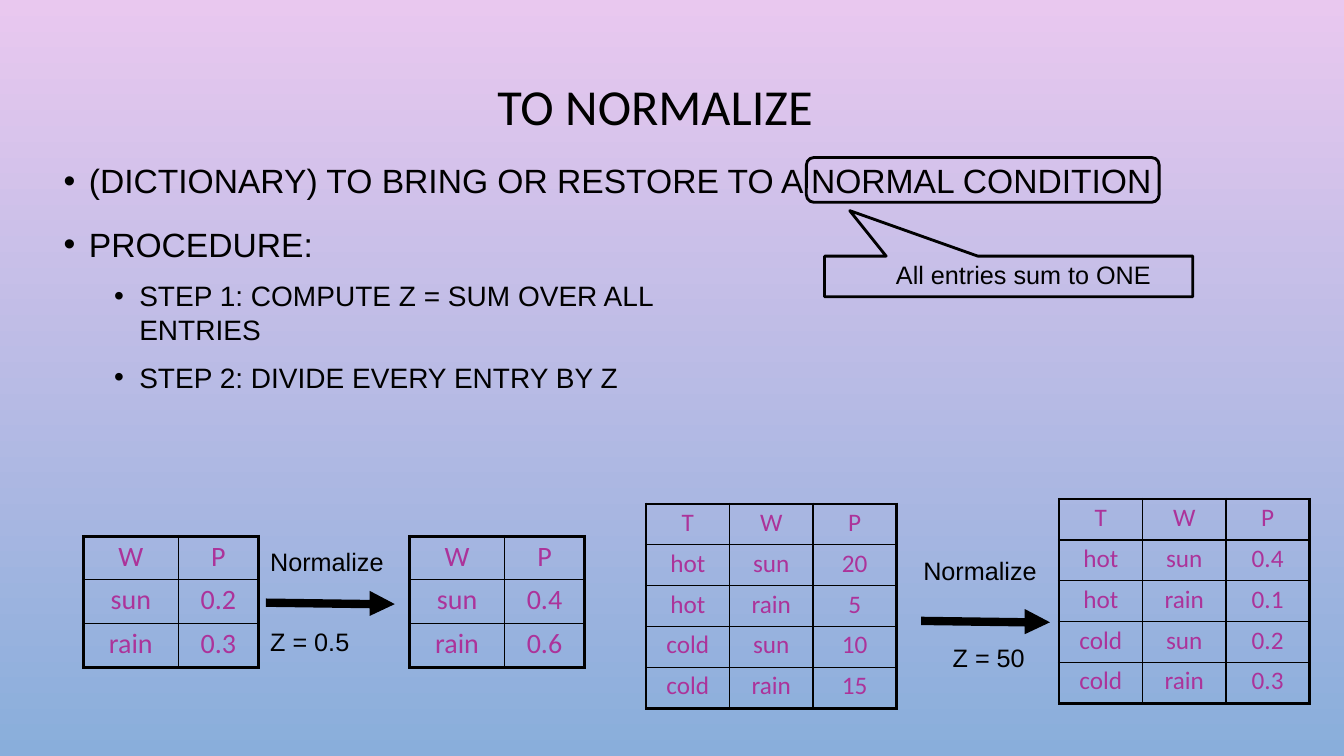
"""Builds the slide that explains how to normalize a probability table."""
from lxml.etree import SubElement
from pptx import Presentation
from pptx.dml.color import RGBColor
from pptx.enum.shapes import MSO_SHAPE as Preset
from pptx.enum.text import MSO_ANCHOR as Anchor, MSO_AUTO_SIZE as AutoSize, PP_ALIGN as Align
from pptx.oxml import parse_xml
from pptx.oxml.ns import nsdecls, qn
from pptx.util import Pt

BLACK, PURPLE = "000000", "AC339A"
BACKGROUND = ("E9C8EF", "89AEDB")
TITLE = ("TO NORMALIZE", (353, 52, 230, 45))
LISTS = [
    (["(DICTIONARY) TO BRING OR RESTORE TO A NORMAL CONDITION", "PROCEDURE:"],
     (44.5, 96, 784, 91), 24, 18.5, 16.5),
    (["STEP 1: COMPUTE Z = SUM OVER ALL ENTRIES", "STEP 2: DIVIDE EVERY ENTRY BY Z"],
     (80.5, 186, 397, 93), 20, 13, 10.5),
]
LABELS = [
    ("All entries sum to ONE", (640, 184.5, 187, 23)),
    ("Normalize", (193, 389, 97, 23)),
    ("Z = 0.5", (193, 446.5, 90, 23)),
    ("Normalize", (659.5, 395.5, 91, 23)),
    ("Z = 50", (680.5, 457.5, 60, 23)),
]
CONDITION_BOX = (576, 112.5, 252, 32)
CALLOUT = [(589, 183), (633, 183), (607, 150.5), (698.5, 183),
           (852, 183), (852, 212), (589, 212)]
ARROW = [(0, 5.5), (74, 6.5), (74, 0), (92, 9.5), (74, 18), (74, 12.5), (0, 11.5)]
ARROW_STARTS = [(190, 422), (658, 435)]
WEATHER = [("hot", "sun"), ("hot", "rain"), ("cold", "sun"), ("cold", "rain")]
SMALL_COLUMNS, LARGE_COLUMNS = (68, 57), (59.6,) * 3
TABLES = [
    ([("W", "P"), ("sun", "0.2"), ("rain", "0.3")], (59.5, 383), SMALL_COLUMNS, 31.2, 20),
    ([("W", "P"), ("sun", "0.4"), ("rain", "0.6")], (292.5, 383), SMALL_COLUMNS, 31.2, 20),
    *[([("T", "W", "P")] + [(*case, value) for case, value in zip(WEATHER, values)],
       corner, LARGE_COLUMNS, 29.2, 18)
      for values, corner in ((("20", "5", "10", "15"), (461.5, 360)),
                             (("0.4", "0.1", "0.2", "0.3"), (756.5, 356.5)))],
]


def rgb(color):
    return RGBColor.from_string(color)


def apply(target, values):
    for name, value in values.items():
        setattr(target, name, value)


def place(part, box):
    apply(part, dict(zip(("left", "top", "width", "height"), map(Pt, box))))


def write(paragraph, text, size, font="Arial", color=BLACK):
    run = paragraph.add_run()
    run.text = text
    apply(run.font, {"name": font, "size": Pt(size)})
    run.font.color.rgb = rgb(color)


def frame(part, top=1, anchor=Anchor.TOP):
    apply(part.text_frame, {
        "word_wrap": True, "auto_size": AutoSize.NONE, "vertical_anchor": anchor,
        "margin_left": 0, "margin_right": 0, "margin_top": Pt(top), "margin_bottom": 0})
    return part.text_frame


def add_bullets(body, items, box, size, top, gap):
    place(body, box)
    text = frame(body, top)
    for index, item in enumerate(items):
        paragraph = text.add_paragraph() if index else text.paragraphs[0]
        paragraph.space_before = Pt(gap if index else 0)
        layout = paragraph._p.get_or_add_pPr()
        layout.set("marL", str(Pt(19)))
        layout.set("indent", str(-Pt(18)))
        SubElement(layout, qn("a:buFont")).set("typeface", "Arial")
        SubElement(layout, qn("a:buChar")).set("char", "•")
        write(paragraph, item, size)


def outline(part):
    part.shadow.inherit = False
    part.fill.background()
    part.line.color.rgb = rgb(BLACK)
    part.line.width = Pt(2.04)


def polygon(shapes, points, dx=0, dy=0):
    corners = [(Pt(x + dx), Pt(y + dy)) for x, y in points]
    builder = shapes.build_freeform(*corners[0])
    builder.add_line_segments(corners[1:], close=True)
    return builder.convert_to_shape()


def add_borders(cell, outer):
    properties = cell._tc.get_or_add_tcPr()
    for index, side in enumerate("LRTB"):
        width = Pt(2.25 if side in outer else 1)
        properties.insert(index, parse_xml(
            f'<a:ln{side} {nsdecls("a")} w="{width}"><a:solidFill>'
            f'<a:srgbClr val="{BLACK}"/></a:solidFill></a:ln{side}>'))


def add_distribution(shapes, entries, corner, columns, row_height, size):
    rows, count = len(entries), len(columns)
    box = (*corner, sum(columns), row_height * rows)
    table = shapes.add_table(rows, count, *map(Pt, box)).table
    apply(table, {"first_row": False, "horz_banding": False})
    for column, width in zip(table.columns, columns):
        column.width = Pt(width)
    for r, entry in enumerate(entries):
        table.rows[r].height = Pt(row_height)
        for c, value in enumerate(entry):
            cell = table.cell(r, c)
            apply(cell, {"margin_left": 0, "margin_right": 0,
                         "margin_top": Pt(2.4), "margin_bottom": 0})
            cell.fill.background()
            edges = {"L": c == 0, "R": c == count - 1, "T": r == 0, "B": r == rows - 1}
            add_borders(cell, [side for side, is_outer in edges.items() if is_outer])
            paragraph = cell.text_frame.paragraphs[0]
            paragraph.alignment = Align.CENTER
            write(paragraph, value, size, "Calibri", PURPLE)


def main():
    deck = Presentation()
    apply(deck, {"slide_width": Pt(960), "slide_height": Pt(540)})
    slide = deck.slides.add_slide(deck.slide_layouts[3])
    shapes = slide.shapes
    backdrop = slide.background.fill
    backdrop.gradient()
    backdrop.gradient_angle = 270
    for stop, color in zip(backdrop.gradient_stops, BACKGROUND):
        stop.color.rgb = rgb(color)

    heading, box = TITLE
    place(shapes.title, box)
    paragraph = frame(shapes.title, anchor=Anchor.MIDDLE).paragraphs[0]
    paragraph.alignment = Align.CENTER
    write(paragraph, heading, 36, "Calibri")
    for index, content in enumerate(LISTS, 1):
        add_bullets(slide.placeholders[index], *content)

    condition = shapes.add_shape(Preset.ROUNDED_RECTANGLE, *map(Pt, CONDITION_BOX))
    condition.adjustments[0] = 0.17
    for part in (condition, polygon(shapes, CALLOUT)):
        outline(part)
    for start in ARROW_STARTS:
        arrow = polygon(shapes, ARROW, *start)
        arrow.shadow.inherit = False
        arrow.fill.solid()
        arrow.fill.fore_color.rgb = rgb(BLACK)
        arrow.line.fill.background()
    for label, box in LABELS:
        write(frame(shapes.add_textbox(*map(Pt, box))).paragraphs[0], label, 18)
    for distribution in TABLES:
        add_distribution(shapes, *distribution)
    deck.save("out.pptx")


if __name__ == "__main__":
    main()
